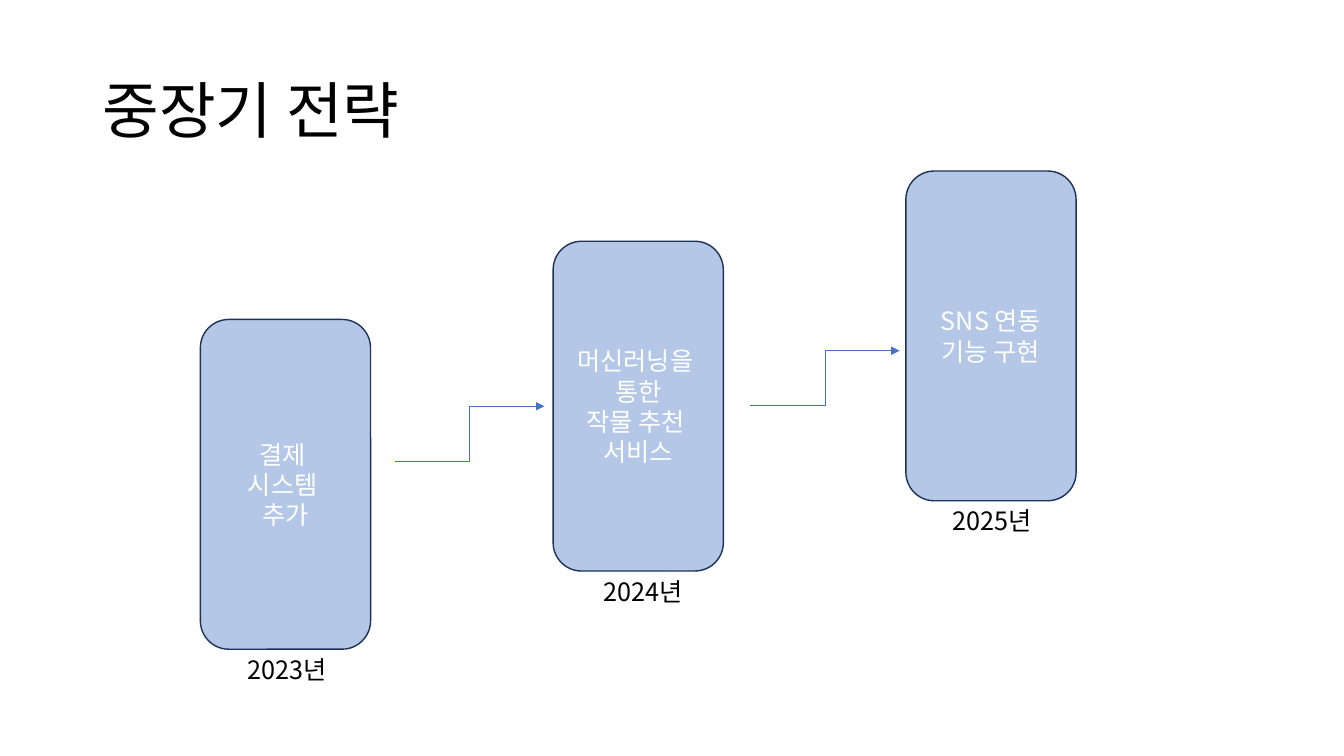
import pptx
import pptx.dml.color
import pptx.enum.shapes
import pptx.enum.text
import pptx.oxml
import pptx.oxml.ns
import pptx.util
from pptx.util import Cm

SHAPES = pptx.enum.shapes
TEXT = pptx.enum.text


def color(hex_value):
    return pptx.dml.color.RGBColor.from_string(hex_value)


def add_element(parent, tag, **attributes):
    """Append a DrawingML element with the given attributes."""
    element = pptx.oxml.parse_xml(f"<{tag} {pptx.oxml.ns.nsdecls('a')}/>")
    for name, value in attributes.items():
        element.set(name, value)
    parent.append(element)


class RoadmapSlide:
    FONT = "Noto Sans CJK KR"
    BLACK = "000000"
    WHITE = "FFFFFF"
    CARD_FILL = "B4C7E7"
    CARD_LINE = "1E3256"
    ARROW = "4472C4"
    CARD_WIDTH = 4.29
    CARD_HEIGHT = 8.31

    def __init__(self, deck):
        self.slide = deck.slides.add_slide(deck.slide_layouts[5])

    def add_lines(self, frame, lines, size, text_color, alignment):
        frame.word_wrap = True
        for index, line in enumerate(lines):
            para = frame.add_paragraph() if index else frame.paragraphs[0]
            para.alignment = alignment
            span = para.add_run()
            span.text = line
            span.font.size = pptx.util.Pt(size)
            span.font.name = self.FONT
            span.font.color.rgb = color(text_color)
            add_element(span.font._element, "a:ea", typeface=self.FONT)

    def title(self, text):
        box = self.slide.shapes.title
        box.left, box.top = Cm(2.33), Cm(1.01)
        box.width, box.height = Cm(29.21), Cm(3.68)
        frame = box.text_frame
        frame.auto_size = TEXT.MSO_AUTO_SIZE.NONE
        frame.vertical_anchor = TEXT.MSO_ANCHOR.MIDDLE
        self.add_lines(frame, [text], 44, self.BLACK, TEXT.PP_ALIGN.LEFT)
        frame.paragraphs[0].line_spacing = 0.9

    def card(self, left, top, lines):
        box = self.slide.shapes.add_shape(
            SHAPES.MSO_SHAPE.ROUNDED_RECTANGLE, Cm(left), Cm(top),
            Cm(self.CARD_WIDTH), Cm(self.CARD_HEIGHT))
        box.shadow.inherit = False
        box.fill.solid()
        box.fill.fore_color.rgb = color(self.CARD_FILL)
        box.line.color.rgb = color(self.CARD_LINE)
        box.line.width = pptx.util.Pt(1)
        box.text_frame.vertical_anchor = TEXT.MSO_ANCHOR.MIDDLE
        self.add_lines(box.text_frame, lines, 18, self.WHITE, TEXT.PP_ALIGN.CENTER)

    def caption(self, left, top, text):
        box = self.slide.shapes.add_textbox(Cm(left), Cm(top), Cm(3.96), Cm(1.03))
        self.add_lines(box.text_frame, [text], 18, self.BLACK, TEXT.PP_ALIGN.LEFT)
        box.text_frame.auto_size = TEXT.MSO_AUTO_SIZE.SHAPE_TO_FIT_TEXT

    def step_arrow(self, left, bottom):
        arrow = self.slide.shapes.add_connector(
            SHAPES.MSO_CONNECTOR.ELBOW, Cm(left), Cm(bottom),
            Cm(left + 3.76), Cm(bottom - 1.38))
        arrow.line.color.rgb = color(self.ARROW)
        arrow.line.width = pptx.util.Pt(0.5)
        add_element(arrow.line._get_or_add_ln(), "a:tailEnd", type="triangle")
        add_element(arrow._element.spPr, "a:effectLst")


def main():
    deck = pptx.Presentation()
    deck.slide_width, deck.slide_height = Cm(33.87), Cm(19.05)
    roadmap = RoadmapSlide(deck)
    roadmap.title("중장기 전략")

    # Card top, caption left, year, card lines
    stages = [
        (8.05, 5.99, "2023년", ["결제 ", "시스템 ", "추가"]),
        (6.08, 14.96, "2024년", ["머신러닝을 ", "통한", "작물 추천 ", "서비스"]),
        (4.31, 23.75, "2025년", ["SNS 연동", "기능 구현"]),
    ]
    for index, (top, caption_left, year, lines) in enumerate(stages):
        roadmap.card(5.05 + index * 8.89, top, lines)
        roadmap.caption(caption_left, top + roadmap.CARD_HEIGHT, year)

    for left, bottom in [(9.96, 11.62), (18.91, 10.22)]:
        roadmap.step_arrow(left, bottom)

    deck.save("out.pptx")


if __name__ == "__main__":
    main()
